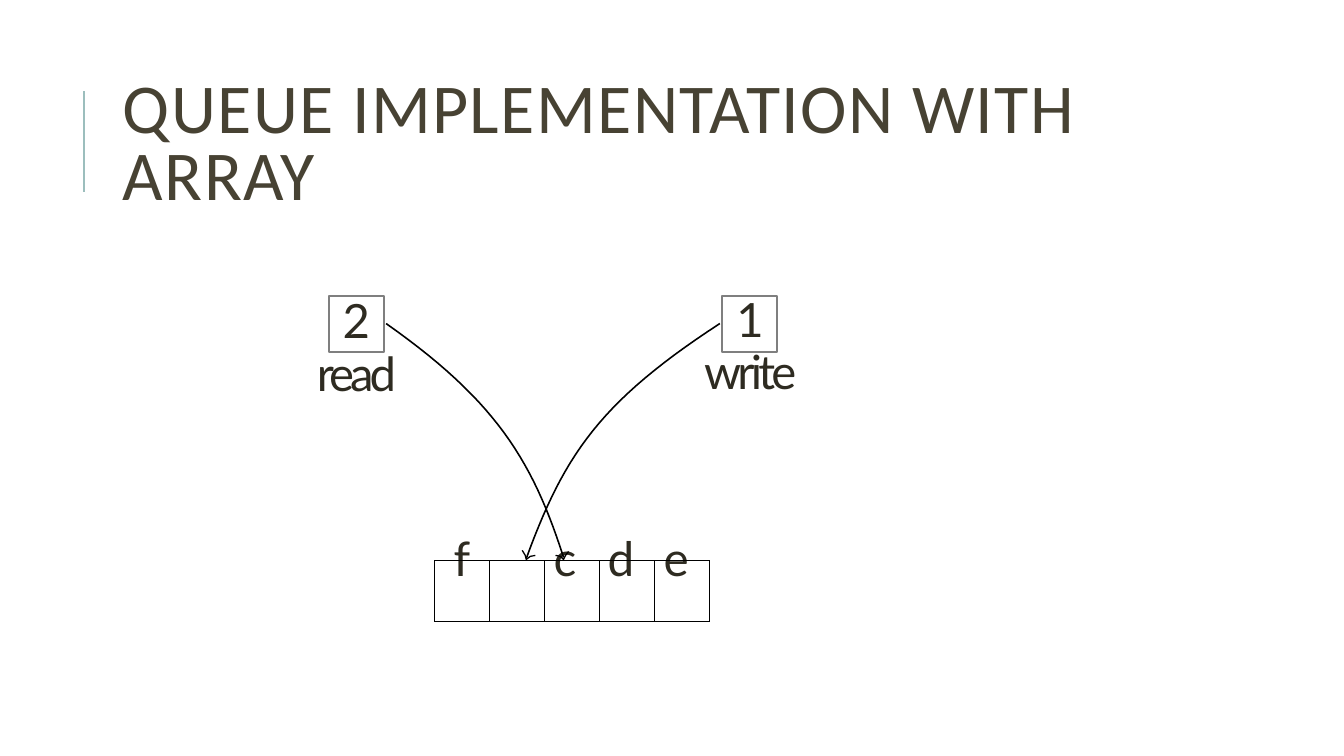
from lxml import etree
from pptx import Presentation, oxml
from pptx.dml.color import RGBColor
from pptx.enum import shapes, text
from pptx.util import Inches, Pt

BLACK = RGBColor(0x00, 0x00, 0x00)
INK = RGBColor(0x2E, 0x2B, 0x21)
OLIVE = RGBColor(0x47, 0x42, 0x33)
TEAL = RGBColor(0x9C, 0xBE, 0xBD)
GRAY = RGBColor(0x7F, 0x7F, 0x7F)
DRAWING = "http://schemas.openxmlformats.org/drawingml/2006/main"


def style(paragraph, face, size, color, tracking=0):
    paragraph.font.name = face
    paragraph.font.size = Pt(size)
    paragraph.font.color.rgb = color
    for run in paragraph.runs:
        run.font._element.set("spc", str(round(tracking * 100)))


def stroke(points, width):
    corners = [(Inches(x), Inches(y)) for x, y in points]
    builder = slide.shapes.build_freeform(*corners[0])
    builder.add_line_segments(corners[1:], close=False)
    curve = builder.convert_to_shape()
    curve.shadow.inherit = False
    curve.fill.background()
    curve.line.color.rgb = BLACK
    curve.line.width = Pt(width)


deck = Presentation()
deck.slide_width, deck.slide_height = Inches(13.33), Inches(7.5)
slide = deck.slides.add_slide(deck.slide_layouts[6])

accent = slide.shapes.add_connector(
    shapes.MSO_CONNECTOR.STRAIGHT, Inches(0.83), Inches(1.9), Inches(0.83), Inches(0.9))
accent.line.color.rgb = TEAL
accent.line.width = Pt(1.5)
etree.SubElement(accent._element.spPr, f"{{{DRAWING}}}effectLst")

pointers = [
    ("2", "read", 3.26, 3.11, 0.85, 37.6, -2.8),
    ("1", "write", 7.16, 6.95, 0.98, 37.1, -2.7),
]
for index, name, box_left, label_left, label_width, spacing, tracking in pointers:
    box = slide.shapes.add_shape(
        shapes.MSO_SHAPE.RECTANGLE, Inches(box_left), Inches(2.94), Inches(0.55), Inches(0.55))
    box.shadow.inherit = False
    box.fill.background()
    box.line.color.rgb = GRAY
    box.line.width = Pt(1.42)

    label = slide.shapes.add_textbox(
        Inches(label_left), Inches(2.87), Inches(label_width), Inches(1.1)).text_frame
    label.word_wrap = True
    label.margin_left = label.margin_right = label.margin_bottom = 0
    label.margin_top = Inches(0.06)
    label.text = f"{index}\n{name}"
    for paragraph, letter_gap in zip(label.paragraphs, (-1.7, tracking)):
        paragraph.alignment = text.PP_ALIGN.CENTER
        paragraph.line_spacing = Pt(spacing)
        style(paragraph, "Lato", 33.7, INK, letter_gap)

queue = slide.shapes.add_table(
    1, 5, Inches(4.31), Inches(5.56), Inches(2.73), Inches(0.6)).table
queue.first_row = queue.horz_banding = False
slots = [("f", None), ("", None), ("c", 0.09), ("d", 0.08), ("e", 0.09)]
for column, (letter, indent) in enumerate(slots):
    slot = queue.cell(0, column)
    slot.margin_left = slot.margin_right = slot.margin_top = slot.margin_bottom = 0
    slot.text = letter
    paragraph = slot.text_frame.paragraphs[0]
    paragraph.line_spacing = Pt(18.8)
    if indent:
        paragraph._p.get_or_add_pPr().set("marL", str(Inches(indent)))
    else:
        paragraph.alignment = text.PP_ALIGN.CENTER
    style(paragraph, "Lato", 34, INK)
    properties = slot._tc.get_or_add_tcPr()
    for side in ("lnL", "lnR", "lnT", "lnB"):
        properties.append(oxml.parse_xml(
            f'<a:{side} xmlns:a="{DRAWING}" w="{Pt(0.5)}"><a:solidFill>'
            f'<a:srgbClr val="{BLACK}"/></a:solidFill></a:{side}>'))
    slot.fill.background()

arrows = [
    ([(3.83, 3.21), (4.91, 3.97), (5.28, 4.56), (5.59, 5.53)],
     [(5.64, 5.47), (5.61, 5.51), (5.59, 5.55), (5.56, 5.52), (5.51, 5.51)]),
    ([(7.14, 3.21), (5.96, 3.98), (5.6, 4.5), (5.22, 5.54)],
     [(5.31, 5.51), (5.26, 5.52), (5.22, 5.55), (5.21, 5.51), (5.18, 5.46)]),
]
STEPS = 28
for controls, barbs in arrows:
    arc = []
    for step in range(STEPS + 1):
        t = step / STEPS
        weights = ((1 - t) ** 3, 3 * t * (1 - t) ** 2, 3 * t ** 2 * (1 - t), t ** 3)
        arc.append([sum(w * c for w, c in zip(weights, axis)) for axis in zip(*controls)])
    stroke(arc, 1.13)
    stroke(barbs, 0.91)

title = slide.shapes.add_textbox(
    Inches(1.12), Inches(0.64), Inches(10.63), Inches(1.64)).text_frame
title.word_wrap = True
title.vertical_anchor = text.MSO_ANCHOR.MIDDLE
title.text = "QUEUE IMPLEMENTATION WITH ARRAY"
title.paragraphs[0].line_spacing = 0.8
style(title.paragraphs[0], "Calibri", 50, OLIVE, 1)

deck.save("out.pptx")
